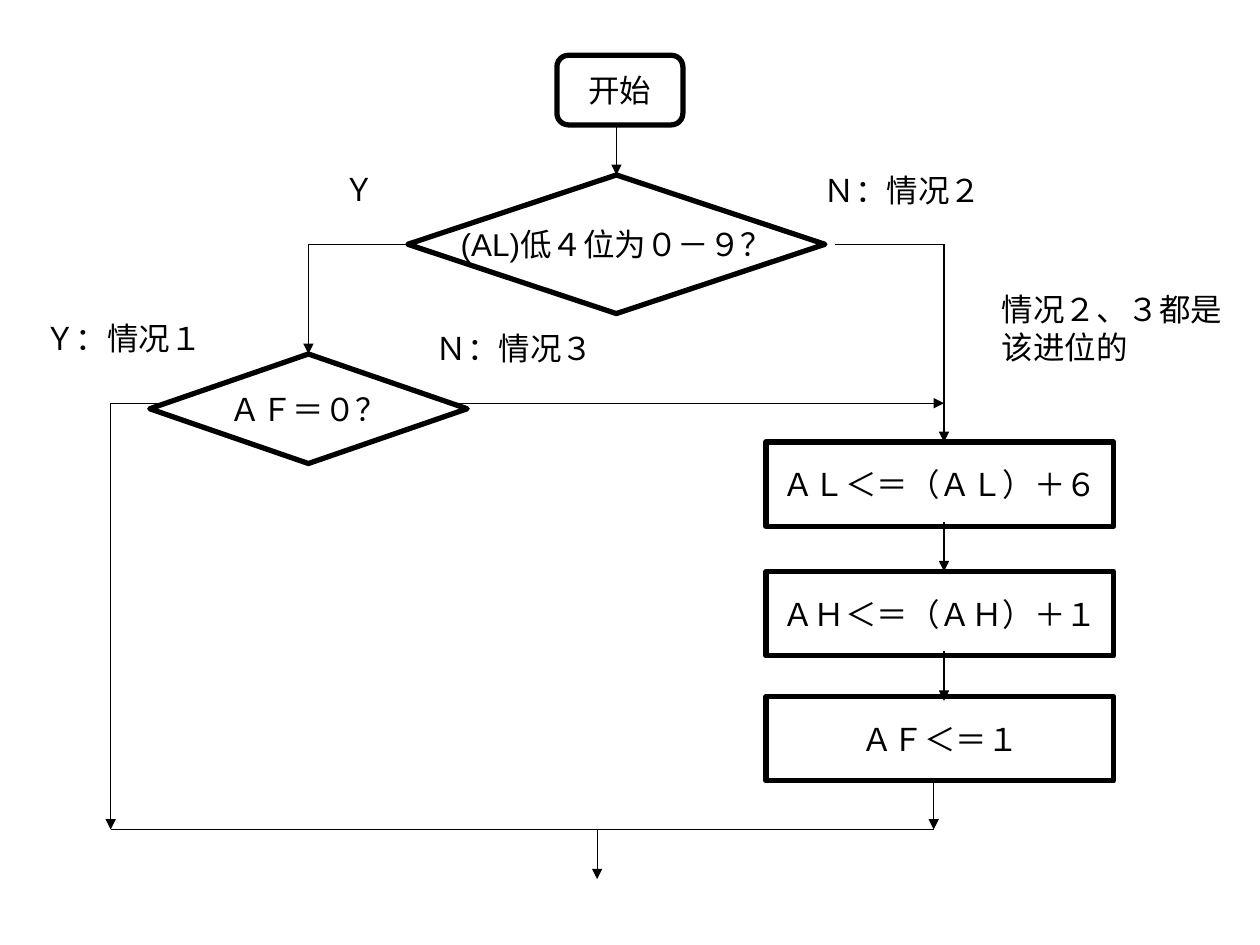
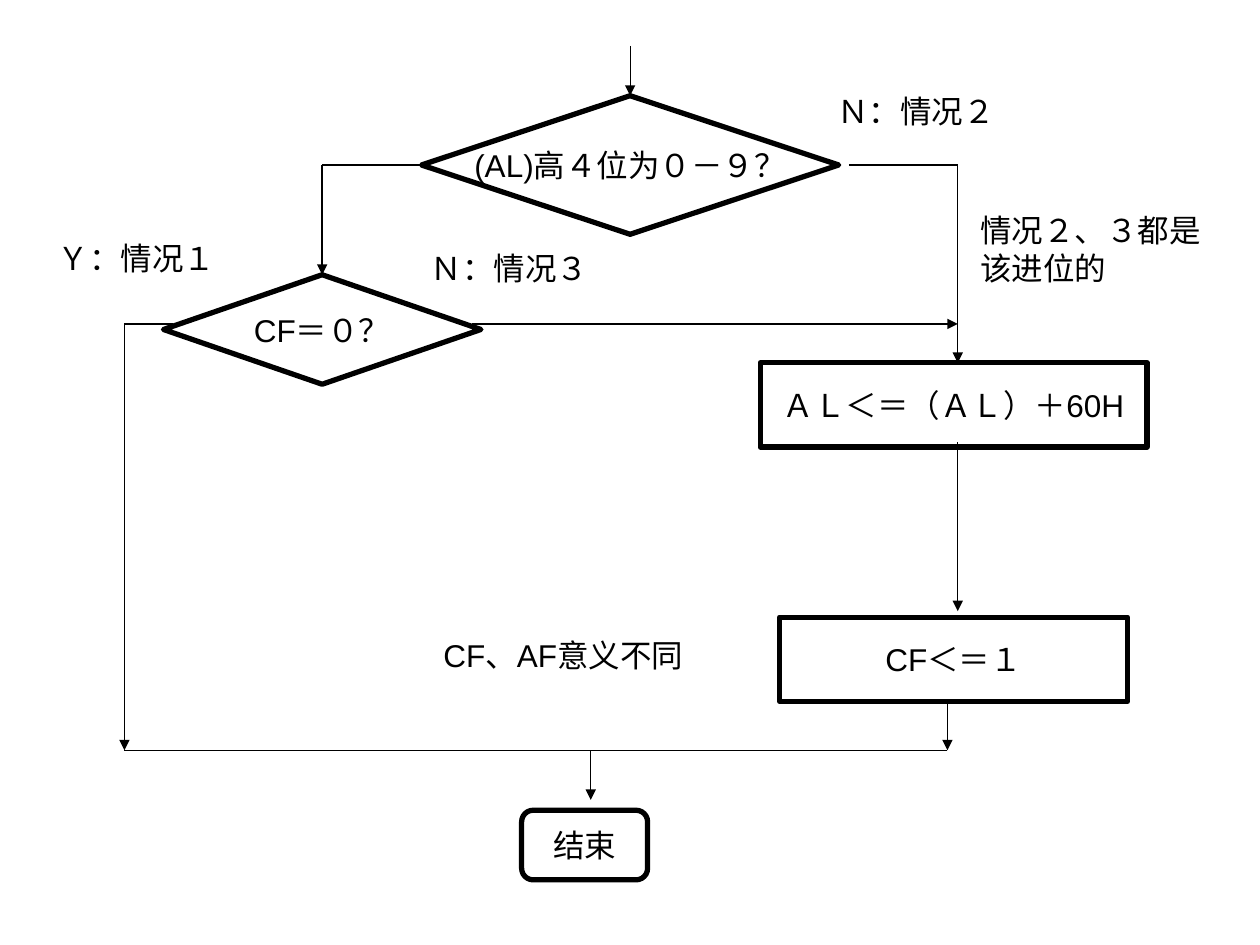
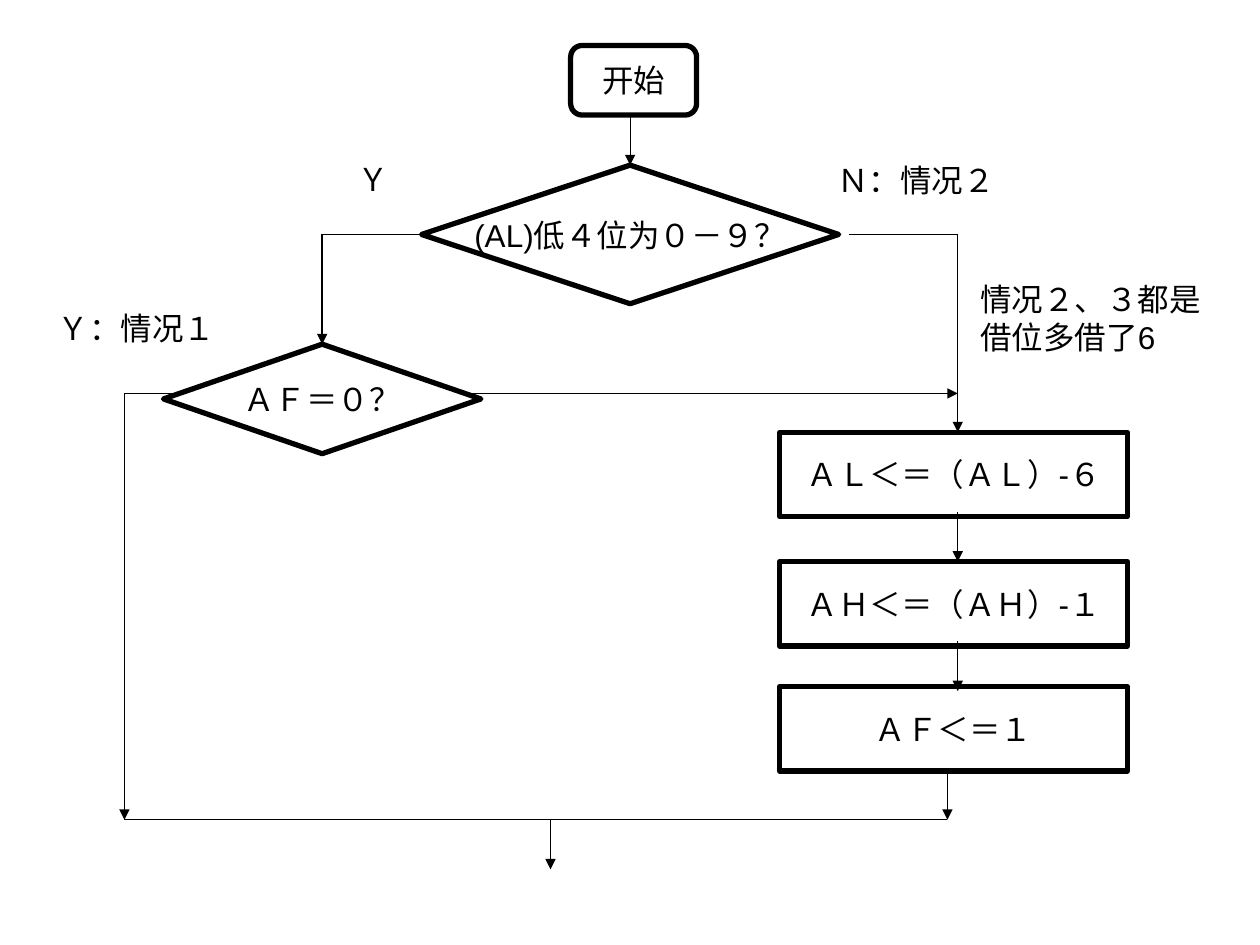
import pptx
import pptx.dml.color
import pptx.enum.shapes
import pptx.enum.text
import pptx.oxml
import pptx.oxml.ns
import pptx.util

Pt = pptx.util.Pt
SHAPES = pptx.enum.shapes.MSO_SHAPE
TOP, LEFT = 0, 1

# Layout relative to the top corner of the first decision
STEP = 28.4
MAIN_W, MAIN_H = 238.4, 79.2
FLAG_W, FLAG_H = 181.4, 62.6
FLAG_X, FLAG_Y = -176, 102.3
RAIL_X, MERGE_Y = 187.2, 130.4
BYPASS_X, END_Y = -289, 374
BOX_X, BOX_W, BOX_H = 184.8, 198.7, 48.2
BOX_ROWS = (152.6, 226.6, 298)


def rgb(value):
    return pptx.dml.color.RGBColor.from_string(value)


class Flowchart:
    """Draws on the current slide around the origin, the first decision's top corner."""
    ink = "000000"
    font = "Arial"
    size = 18
    outline = 3
    arrow = 0.75

    def __init__(self):
        self.deck = pptx.Presentation()
        self.deck.slide_width = Pt(720)
        self.deck.slide_height = Pt(540)

    def new_slide(self, x, y):
        self.slide = self.deck.slides.add_slide(self.deck.slide_layouts[6])
        self.x, self.y = x, y

    def set_text(self, frame, lines, align):
        frame.word_wrap = False
        frame.text = lines
        for paragraph in frame.paragraphs:
            paragraph.alignment = align
            paragraph.font.name = self.font
            paragraph.font.size = Pt(self.size)
            paragraph.font.color.rgb = rgb(self.ink)

    def node(self, kind, centre, top, width, height, text):
        shape = self.slide.shapes.add_shape(
            kind, Pt(self.x + centre - width / 2), Pt(self.y + top), Pt(width), Pt(height))
        shape.shadow.inherit = False
        shape.fill.background()
        shape.line.color.rgb = rgb(self.ink)
        shape.line.width = Pt(self.outline)
        shape.text_frame.vertical_anchor = pptx.enum.text.MSO_ANCHOR.MIDDLE
        self.set_text(shape.text_frame, text, pptx.enum.text.PP_ALIGN.CENTER)
        return shape

    def terminal(self, centre, top, text):
        return self.node(SHAPES.FLOWCHART_ALTERNATE_PROCESS, centre, top, 72, 39.8, text)

    def decision(self, centre, top, width, height, text):
        return self.node(SHAPES.FLOWCHART_DECISION, centre, top, width, height, text)

    def process(self, top, text, width=BOX_W):
        return self.node(SHAPES.FLOWCHART_PROCESS, BOX_X, top, width, BOX_H, text)

    def label(self, left, top, width, text):
        height = 50.4 if "\n" in text else 28.8
        box = self.slide.shapes.add_textbox(
            Pt(self.x + left), Pt(self.y + top), Pt(width), Pt(height))
        self.set_text(box.text_frame, text, pptx.enum.text.PP_ALIGN.LEFT)
        box.text_frame.auto_size = pptx.enum.text.MSO_AUTO_SIZE.SHAPE_TO_FIT_TEXT

    def line(self, x1, y1, x2, y2, head=True, begin=None, end=None):
        """begin and end are optional (shape, side) pairs to join."""
        connector = self.slide.shapes.add_connector(
            pptx.enum.shapes.MSO_CONNECTOR.STRAIGHT,
            Pt(self.x + x1), Pt(self.y + y1), Pt(self.x + x2), Pt(self.y + y2))
        connector.line.color.rgb = rgb(self.ink)
        connector.line.width = Pt(self.arrow)
        properties = connector._element.spPr
        if head:
            tail = pptx.oxml.parse_xml(
                f'<a:tailEnd {pptx.oxml.ns.nsdecls("a")} type="triangle"/>')
            properties.get_or_add_ln().append(tail)
        properties.append(pptx.oxml.parse_xml(
            f'<a:effectLst {pptx.oxml.ns.nsdecls("a")}/>'))
        if begin:
            connector.begin_connect(*begin)
        if end:
            connector.end_connect(*end)

    def branches(self, question, flag_question, remark, remark_x, exit_x):
        """Both decisions with their paths, the shared labels and the exit."""
        main_test = self.decision(0, 0, MAIN_W, MAIN_H, question)
        flag_test = self.decision(FLAG_X, FLAG_Y, FLAG_W, FLAG_H, flag_question)
        middle = MAIN_H / 2
        self.line(0, -STEP, 0, 0, end=(main_test, TOP))
        self.line(-MAIN_W / 2, middle, FLAG_X, middle, head=False, begin=(main_test, LEFT))
        self.line(FLAG_X, middle, FLAG_X, FLAG_Y, end=(flag_test, TOP))
        self.line(125, middle, RAIL_X, middle, head=False)
        self.line(RAIL_X, middle, RAIL_X, BOX_ROWS[0])
        self.line(-90.2, MERGE_Y, RAIL_X, MERGE_Y)
        self.line(-261, MERGE_Y, BYPASS_X, MERGE_Y, head=False)
        self.line(BYPASS_X, MERGE_Y, BYPASS_X, END_Y)
        self.line(181.3, END_Y - STEP, 181.3, END_Y)
        self.line(181.3, END_Y, BYPASS_X, END_Y, head=False)
        self.line(exit_x, END_Y, exit_x, END_Y + STEP)
        self.label(-334.2, 78.5, 104.4, "Ｙ：情况１")
        self.label(111.3, -5.8, 104.4, "Ｎ：情况２")
        self.label(remark_x, 62.2, 140.4, remark)

    def low_digit(self, remark, remark_x, exit_x, adjust_al, adjust_ah):
        """The whole chart for the low four bits."""
        self.terminal(2, -68.4, "开始")
        self.branches("(AL)低４位为０－９？", "ＡＦ＝０？", remark, remark_x, exit_x)
        self.label(-162.8, -6.5, 32.4, "Ｙ")
        for top, text in zip(BOX_ROWS, (adjust_al, adjust_ah, "ＡＦ＜＝１")):
            self.process(top, text)
        for top in BOX_ROWS[:2]:
            self.line(RAIL_X, top + 45.5, RAIL_X, top + 45.5 + STEP)


def main():
    chart = Flowchart()
    carry = "情况２、３都是\n该进位的"

    chart.new_slide(352.25, 100)
    chart.low_digit(carry, 213, -11, "ＡＬ＜＝（ＡＬ）＋６", "ＡＨ＜＝（ＡＨ）＋１")
    chart.label(-110.3, 84.3, 104.4, "Ｎ：情况３")

    chart.new_slide(360.1, 54.7)
    chart.branches("(AL)高４位为０－９？", "CF＝０？", carry, 193, -22.5)
    chart.label(-121, 84.3, 104.4, "Ｎ：情况３")
    chart.process(BOX_ROWS[0], "ＡＬ＜＝（ＡＬ）＋60H", width=221)
    chart.process(BOX_ROWS[2], "CF＜＝１")
    chart.line(RAIL_X, 198, RAIL_X, 294.5)
    chart.label(-113.8, 305.3, 164.2, "CF、AF意义不同")
    chart.terminal(-26, 408.3, "结束")

    chart.new_slide(360.1, 94.4)
    chart.low_digit("情况２、３都是\n借位多借了6", 193, -45.5,
                    "ＡＬ＜＝（ＡＬ）-６", "ＡＨ＜＝（ＡＨ）-１")

    chart.deck.save("out.pptx")


if __name__ == "__main__":
    main()
